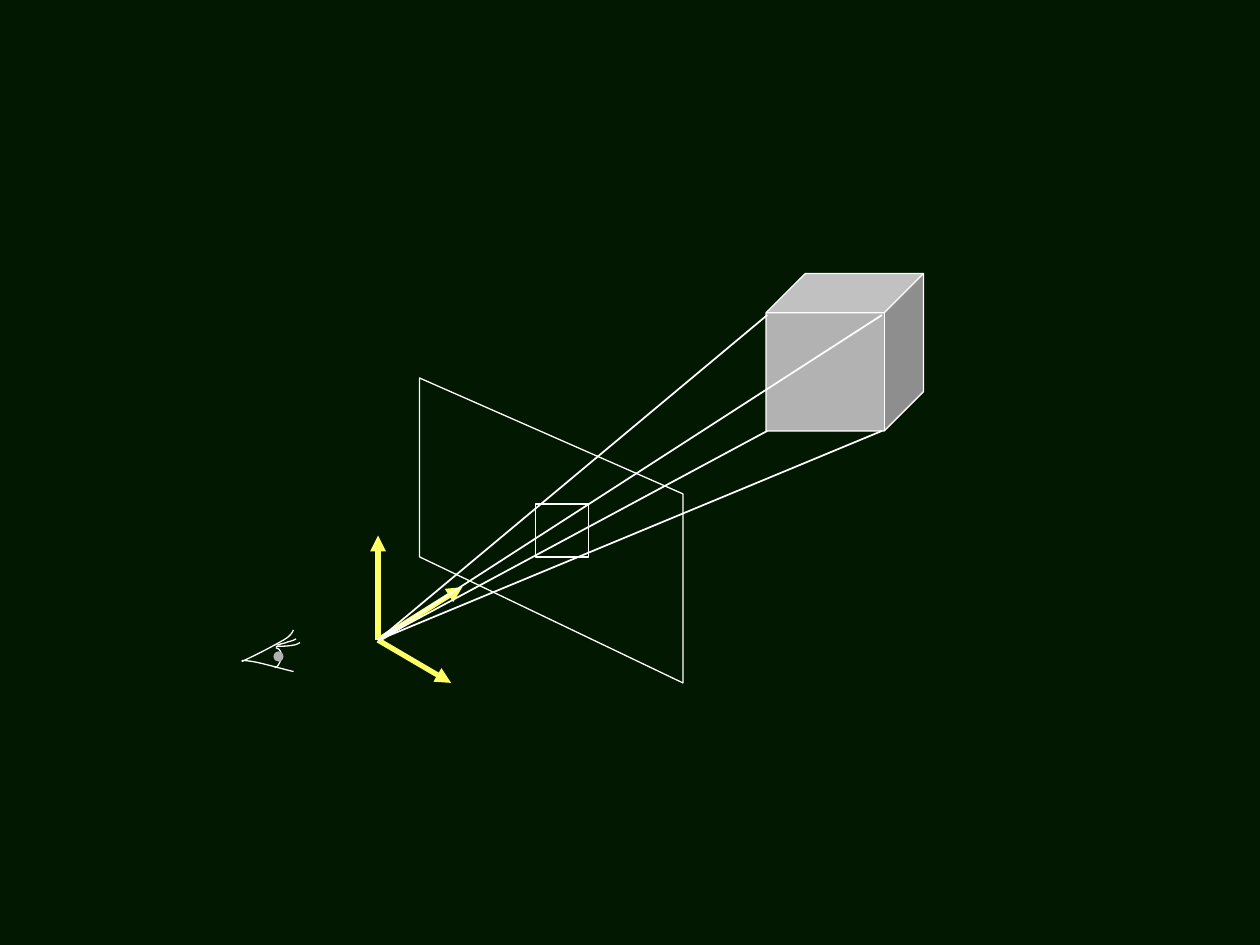
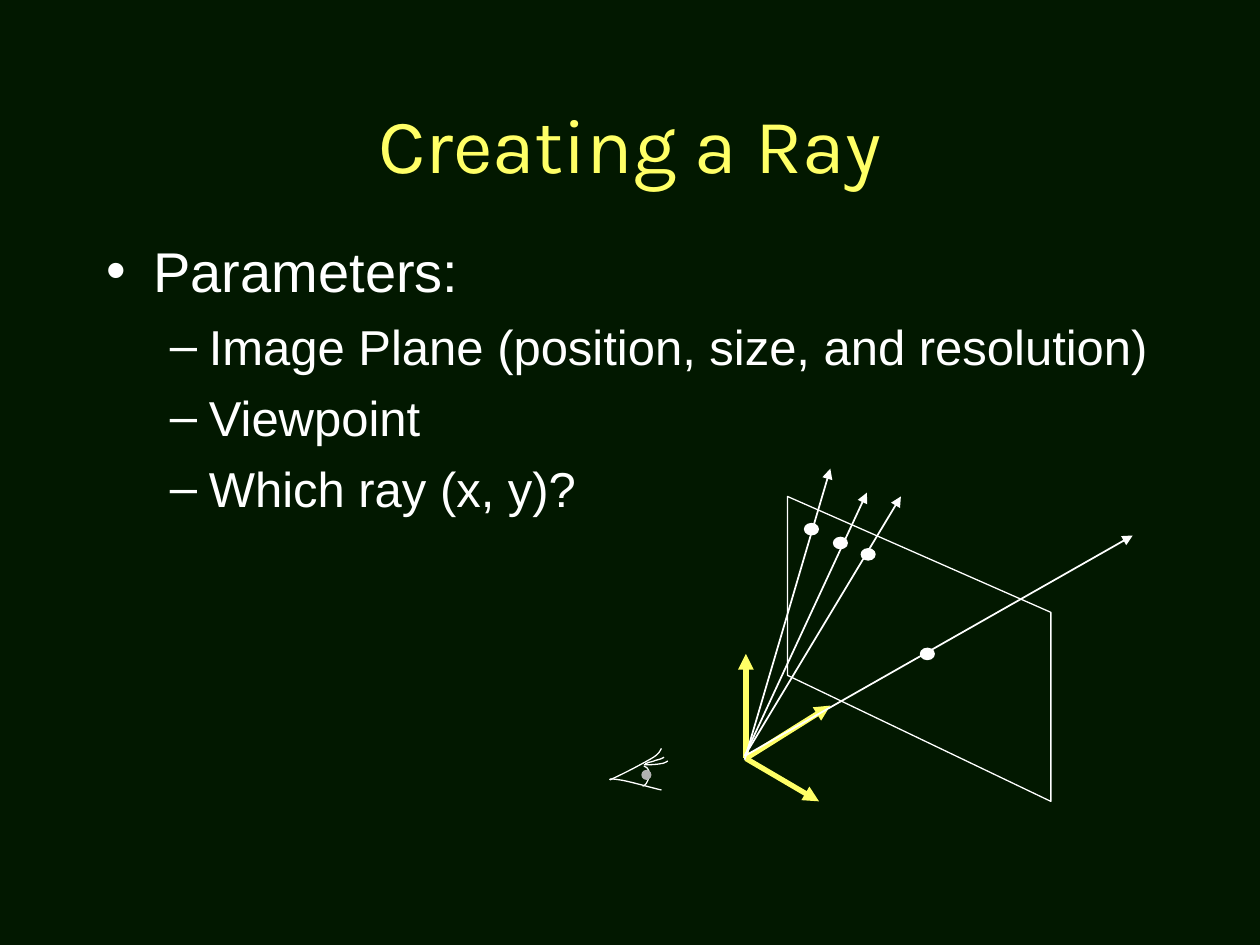
from itertools import product

from lxml import etree
from pptx import Presentation
from pptx.dml.color import RGBColor
from pptx.enum.shapes import MSO_CONNECTOR, MSO_SHAPE
from pptx.enum.text import MSO_ANCHOR, PP_ALIGN
from pptx.oxml.ns import qn
from pptx.util import Inches, Pt

STRAIGHT = MSO_CONNECTOR.STRAIGHT
CUBE, ELLIPSE = MSO_SHAPE.CUBE, MSO_SHAPE.OVAL
CENTER, MIDDLE, TOP = PP_ALIGN.CENTER, MSO_ANCHOR.MIDDLE, MSO_ANCHOR.TOP

COLORS = {"background": "021800", "accent": "FFFF66", "line": "FFFFFF", "gray": "B2B2B2"}
TITLE_FONT, BODY_FONT = "Karla", "Arial"
THIN, RAY, AXIS = 0.74, 0.99, 3

# Slide text: (level, text), and per level: size, left, hanging, space before, bullet
TITLE = "Creating a Ray"
BODY = [
    (0, "Parameters:"),
    (1, "Image Plane (position, size, and resolution)"),
    (1, "Viewpoint"),
    (1, "Which ray (x, y)?"),
]
LEVELS = [(32, 0.37, 0.37, 8, "\u2022"), (28, 0.81, 0.31, 7, "\u2013")]

# Camera parts, in inches from the viewpoint
AXES = [(0.67, -0.42), (0, -0.83), (0.58, 0.34)]
PLANE = [(0.33, -2.08), (2.42, -1.16), (2.42, 0.34), (0.33, -0.66)]
EYE = (-1.08, 0.17)

# Eye strokes, in inches from the eye's corner: a start, then Bezier triples
EYE_STROKES = [
    [(0, 0), (0.13, -0.06), (0.26, -0.13), (0.33, -0.17),
     (0.4, -0.21), (0.4, -0.24), (0.41, -0.25)],
    [(0, 0), (0, -0.01), (0.01, -0.01), (0.08, 0), (0.15, 0.01), (0.36, 0.07), (0.41, 0.08)],
    [(0.27, -0.11), (0.35, -0.09), (0.3, 0.05), (0.26, 0.05)],
    [(0.27, -0.12), (0.32, -0.12), (0.36, -0.12), (0.41, -0.13),
     (0.43, -0.13), (0.46, -0.15), (0.46, -0.15)],
    [(0.28, -0.13), (0.33, -0.14), (0.28, -0.13), (0.31, -0.14), (0.32, -0.14),
     (0.35, -0.15), (0.35, -0.15), (0.37, -0.16), (0.4, -0.16), (0.43, -0.18)],
]
PUPIL = (0.25, -0.08, 0.08, 0.08)

# Projection scene
CUBE_VIEW = (3, 5.08)
CUBE_BOX = (6.08, 2.17, 1.25, 1.25)
CUBE_CORNERS = list(product((6.09, 7), (2.5, 3.42)))
IMAGE_SQUARE = [(4.25, 4.42), (4.25, 4), (4.67, 4), (4.67, 4.42)]

# Ray scene: each ray is its tip, its foot, and its dot on the image plane
RAY_VIEW = (5.92, 6.02)
RAYS = [
    ((6.59, 3.72), (5.91, 6.03), (6.38, 4.15)),
    ((6.88, 3.91), (5.91, 6), (6.61, 4.26)),
    ((7.15, 3.94), (5.91, 6), (6.83, 4.35)),
    ((8.99, 4.25), (5.91, 6), (7.3, 5.14)),
]
DOT_SIZE = (0.12, 0.1)


def rgb(name):
    """Return a named colour of the palette."""
    return RGBColor.from_string(COLORS[name])


def shift(point, origin):
    """Move a point by an origin."""
    return point[0] + origin[0], point[1] + origin[1]


def add_slide(prs):
    """Add a blank slide with the shared background."""
    s = prs.slides.add_slide(prs.slide_layouts[6])
    s.background.fill.solid()
    s.background.fill.fore_color.rgb = rgb("background")
    return s


def add_solid(s, kind, box, color, outline=None):
    """Add a filled preset shape, outlined only on request."""
    sp = s.shapes.add_shape(kind, *map(Inches, box))
    sp.shadow.inherit = False
    sp.fill.solid()
    sp.fill.fore_color.rgb = rgb(color)
    if outline:
        sp.line.color.rgb = rgb(outline)
        sp.line.width = Pt(THIN)
    else:
        sp.line.fill.background()


def add_line(s, start, end, color, width, arrow=None):
    """Add a straight line; arrow is headEnd (at start) or tailEnd (at end)."""
    c = s.shapes.add_connector(STRAIGHT, *map(Inches, start + end))
    c.line.color.rgb = rgb(color)
    c.line.width = Pt(width)
    if arrow:
        etree.SubElement(c.line._get_or_add_ln(), qn("a:" + arrow), type="triangle")
    etree.SubElement(c._element.spPr, qn("a:effectLst"))


def add_outline(s, points, close):
    """Add an unfilled outline through the points."""
    emu = [(Inches(x), Inches(y)) for x, y in points]
    builder = s.shapes.build_freeform(*emu[0], scale=1.0)
    builder.add_line_segments(emu[1:], close=close)
    sp = builder.convert_to_shape()
    sp.shadow.inherit = False
    sp.fill.background()
    sp.line.color.rgb = rgb("line")
    sp.line.width = Pt(THIN)


def bezier(points, steps=8):
    """Sample a chain of cubic Bezier curves."""
    curve = [points[0]]
    for i in range(0, len(points) - 1, 3):
        for n in range(1, steps + 1):
            t = n / steps
            u = 1 - t
            weights = (u ** 3, 3 * u * u * t, 3 * u * t * t, t ** 3)
            curve.append(tuple(sum(w * p[axis] for w, p in zip(weights, points[i:i + 4]))
                               for axis in (0, 1)))
    return curve


def add_camera(s, view):
    """Draw the axes, the eye and the image plane around a viewpoint."""
    for tip in AXES:
        add_line(s, view, shift(tip, view), "accent", AXIS, "tailEnd")
    eye = shift(EYE, view)
    for stroke in EYE_STROKES:
        add_outline(s, [shift(p, eye) for p in bezier(stroke)], close=False)
    add_solid(s, ELLIPSE, shift(PUPIL, eye) + PUPIL[2:], "gray")
    add_outline(s, [shift(p, view) for p in PLANE], close=True)


def add_text(s, box, lines, anchor):
    """Add a wrapped text box and return its paragraphs."""
    tf = s.shapes.add_textbox(*map(Inches, box)).text_frame
    tf.word_wrap = True
    tf.vertical_anchor = anchor
    tf.text = "\n".join(lines)
    return tf.paragraphs


def style_runs(p, font, size, color):
    """Format every run of a paragraph."""
    for r in p.runs:
        r.font.name = font
        r.font.size = Pt(size)
        r.font.color.rgb = rgb(color)


def add_bullet(p, left, hanging, char):
    """Give a paragraph a hanging bullet."""
    pPr = p._p.get_or_add_pPr()
    pPr.set("marL", str(Inches(left)))
    pPr.set("indent", str(-Inches(hanging)))
    color = etree.SubElement(pPr, qn("a:buClr"))
    etree.SubElement(color, qn("a:srgbClr"), val=COLORS["line"])
    etree.SubElement(pPr, qn("a:buFont"), typeface=BODY_FONT)
    etree.SubElement(pPr, qn("a:buChar"), char=char)


def build_projection(prs):
    """Build the slide that projects a cube on the image plane."""
    s = add_slide(prs)
    add_solid(s, CUBE, CUBE_BOX, "gray", outline="line")
    add_camera(s, CUBE_VIEW)
    for corner in CUBE_CORNERS:
        add_line(s, corner, CUBE_VIEW, "line", RAY)
    add_outline(s, IMAGE_SQUARE, close=True)


def build_rays(prs):
    """Build the slide that lists the parameters of a ray."""
    s = add_slide(prs)
    title = add_text(s, (0.75, 0.67, 8.5, 0.92), [TITLE], MIDDLE)[0]
    title.alignment = CENTER
    style_runs(title, TITLE_FONT, 44, "accent")
    body = add_text(s, (0.75, 1.83, 8.5, 4.83), [text for _, text in BODY], TOP)
    for p, (level, _) in zip(body, BODY):
        size, left, hanging, before, char = LEVELS[level]
        p.level = level
        p.space_before = Pt(before)
        add_bullet(p, left, hanging, char)
        style_runs(p, BODY_FONT, size, "line")
    add_camera(s, RAY_VIEW)
    for tip, foot, dot in RAYS:
        add_line(s, tip, foot, "line", RAY, "headEnd")
        add_solid(s, ELLIPSE, dot + DOT_SIZE, "line")


prs = Presentation()
prs.slide_width, prs.slide_height = Inches(10), Inches(7.5)
build_projection(prs)
build_rays(prs)
prs.save("out.pptx")
